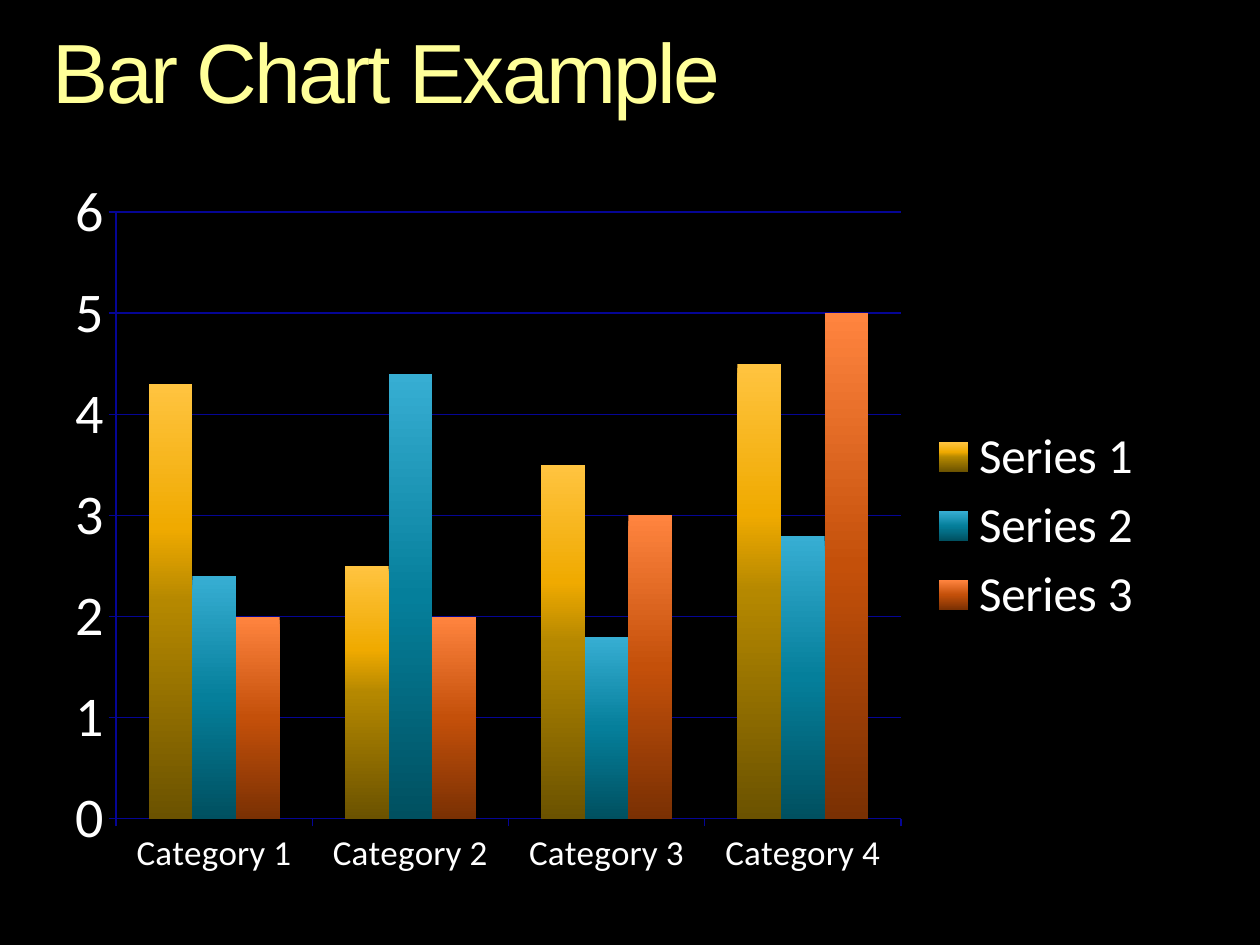
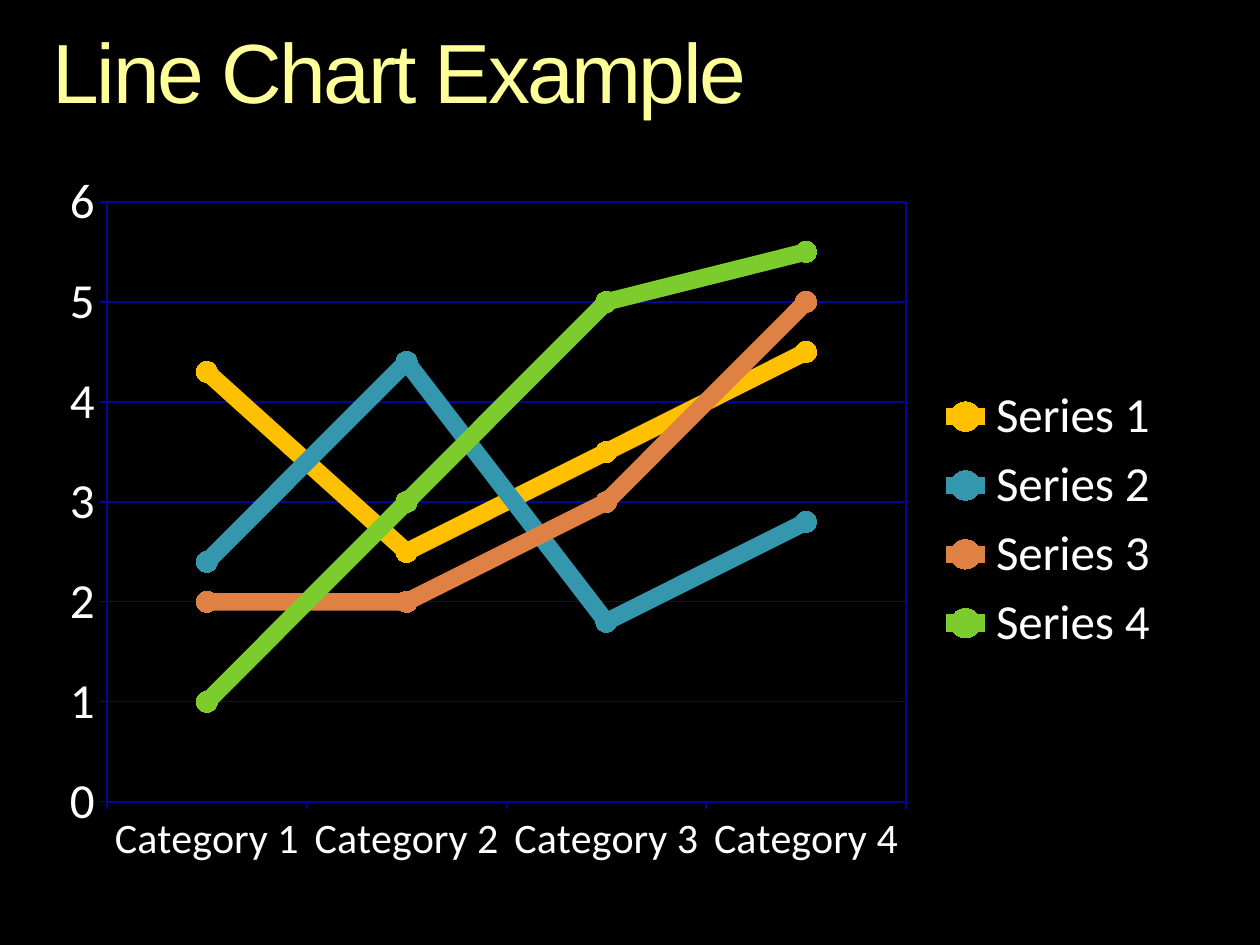
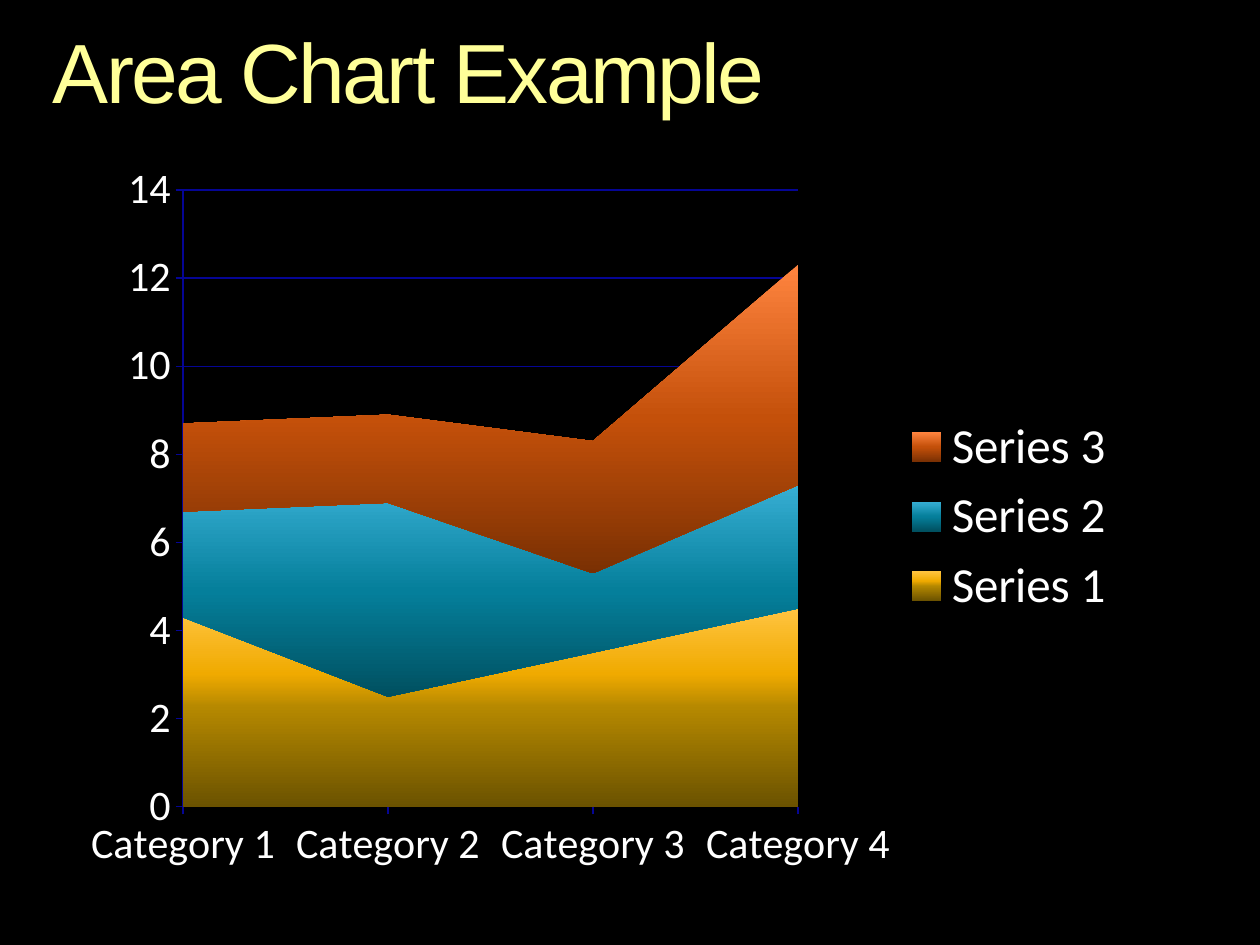
from dataclasses import dataclass

from lxml import etree
from pptx import Presentation
from pptx.chart.data import CategoryChartData
from pptx.dml.color import RGBColor
from pptx.enum.chart import XL_CHART_TYPE, XL_LEGEND_POSITION, XL_MARKER_STYLE, XL_TICK_MARK
from pptx.enum.text import MSO_ANCHOR, MSO_AUTO_SIZE, PP_ALIGN
from pptx.oxml.ns import qn
from pptx.util import Pt

COLUMN = XL_CHART_TYPE.COLUMN_CLUSTERED
LINE = XL_CHART_TYPE.LINE_MARKERS
AREA = XL_CHART_TYPE.AREA_STACKED
LEGEND_RIGHT = XL_LEGEND_POSITION.RIGHT
CIRCLE = XL_MARKER_STYLE.CIRCLE
TICK_OUT = XL_TICK_MARK.OUTSIDE
TOP = MSO_ANCHOR.TOP
GROW = MSO_AUTO_SIZE.SHAPE_TO_FIT_TEXT
LEFT = PP_ALIGN.LEFT

PX = 914400 / 126  # EMU per pixel


@dataclass
class Theme:
    background: str = "000000"
    title: str = "FFFF99"
    text: str = "FFFFFF"
    grid: str = "050595"
    title_font: str = "Arial"
    chart_font: str = "Calibri"
    title_size: int = 48
    chart_size: int = 18
    legend_size: int = 28
    grid_width: float = 0.75
    line_width: float = 10
    marker_size: int = 12
    series: tuple = ("FFC000", "3497AE", "DF8045", "7DCC2E")
    # Stops from top to bottom: percent, colour
    gradients: tuple = (
        ((0, "FFC440"), (33, "F0AA00"), (50, "B58800"), (100, "6B5200")),
        ((0, "37AED3"), (50, "057F9B"), (100, "005060")),
        ((0, "FF843F"), (50, "C4500A"), (100, "7A3003")),
    )


theme = Theme()


def set_font(font, size):
    font.name = theme.chart_font
    font.size = Pt(size)
    font.color.rgb = RGBColor.from_string(theme.text)


def set_layout(parent, index, frame, box, inner=False):
    """Place a chart part by pixel box, as fractions of the chart frame."""
    for old in parent.findall(qn("c:layout")):
        parent.remove(old)
    layout = etree.Element(qn("c:layout"))
    parent.insert(index, layout)
    manual = etree.SubElement(layout, qn("c:manualLayout"))
    left, top, width, height = frame
    x, y, w, h = box
    settings = [("layoutTarget", "inner")] if inner else []
    settings += [("xMode", "edge"), ("yMode", "edge"),
                 ("x", (x - left) / width), ("y", (y - top) / height),
                 ("w", w / width), ("h", h / height)]
    for tag, value in settings:
        text = value if isinstance(value, str) else f"{value:.4f}"
        etree.SubElement(manual, qn("c:" + tag)).set("val", text)


# Data shared by the charts
categories = [f"Category {n}" for n in range(1, 5)]
values = [(4.3, 2.5, 3.5, 4.5), (2.4, 4.4, 1.8, 2.8), (2, 2, 3, 5), (1, 3, 5, 5.5)]

# One entry a slide; boxes are left, top, width, height in pixels
slides = [
    dict(title="Bar Chart Example", kind=COLUMN, count=3, frame=(53, 163, 1106, 726),
         plot=(116, 212, 785, 607), legend=None, sizes=(20, 32), top=6, unit=1),
    dict(title="Line Chart Example", kind=LINE, count=4, frame=(48, 159, 1128, 722),
         plot=(107, 202, 799, 600), legend=None, sizes=(24, 28), top=6, unit=1),
    dict(title="Area Chart Example", kind=AREA, count=3, frame=(71, 150, 1079, 736),
         plot=(183, 190, 615, 617), legend=(900, 407, 217, 219), sizes=(24, 24), top=14, unit=2),
]

prs = Presentation()
prs.slide_width, prs.slide_height = round(1260 * PX), round(945 * PX)
fill = prs.slide_master.background.fill
fill.solid()
fill.fore_color.rgb = RGBColor.from_string(theme.background)

for spec_ in slides:
    s = prs.slides.add_slide(prs.slide_layouts[5])
    kind, frame = spec_["kind"], spec_["frame"]

    # Title
    sp = s.shapes.title
    sp.left, sp.top, sp.width, sp.height = [round(v * PX) for v in (53, 31, 1155, 92)]
    tf = sp.text_frame
    tf.text = spec_["title"]
    tf.margin_left = tf.margin_top = tf.margin_right = tf.margin_bottom = 0
    tf.vertical_anchor = TOP
    tf.auto_size = GROW
    tf.word_wrap = True
    p = tf.paragraphs[0]
    p.alignment = LEFT
    p.line_spacing = 0.9
    r = p.runs[0]
    r.font.name = theme.title_font
    r.font.size = Pt(theme.title_size)
    r.font.color.rgb = RGBColor.from_string(theme.title)
    r.font._element.set("spc", "-150")

    # Chart
    data = CategoryChartData()
    data.categories = categories
    for n, vals in enumerate(values[:spec_["count"]], 1):
        data.add_series(f"Series {n}", vals)
    chart = s.shapes.add_chart(kind, *[round(v * PX) for v in frame], data).chart
    chart.has_title = False
    set_font(chart.font, theme.chart_size)
    plot = chart.plots[0]
    plot.vary_by_categories = False
    plot_area = chart._chartSpace.chart.plotArea
    set_layout(plot_area, 0, frame, spec_["plot"], inner=True)

    # Axes and grid
    val_axis = chart.value_axis
    val_axis.minimum_scale, val_axis.maximum_scale = 0, spec_["top"]
    val_axis.major_unit = spec_["unit"]
    val_axis.has_major_gridlines = True
    lines = [val_axis.major_gridlines.format.line]
    for axis, size in zip((chart.category_axis, val_axis), spec_["sizes"]):
        axis.major_tick_mark = TICK_OUT
        set_font(axis.tick_labels.font, size)
        lines.append(axis.format.line)
    for line in lines:
        line.color.rgb = RGBColor.from_string(theme.grid)
        line.width = Pt(theme.grid_width)

    # Legend
    chart.has_legend = True
    legend = chart.legend
    legend.position = LEGEND_RIGHT
    legend.include_in_layout = False
    set_font(legend.font, theme.legend_size)
    if spec_["legend"]:
        set_layout(legend._element, 1, frame, spec_["legend"])

    # Series
    for i, series in enumerate(plot.series):
        color = RGBColor.from_string(theme.series[i])
        if kind == LINE:
            series.smooth = False
            series.format.line.color.rgb = color
            series.format.line.width = Pt(theme.line_width)
            marker = series.marker
            marker.style, marker.size = CIRCLE, theme.marker_size
            marker.format.fill.solid()
            marker.format.fill.fore_color.rgb = color
            marker.format.line.fill.background()
            continue
        fill = series.format.fill
        fill.gradient()
        fill.gradient_angle = 270
        stops = series._element.find(".//" + qn("a:gsLst"))
        for stop in list(stops):
            stops.remove(stop)
        for percent, shade in theme.gradients[i]:
            gs = etree.SubElement(stops, qn("a:gs"), pos=str(percent * 1000))
            etree.SubElement(gs, qn("a:srgbClr"), val=shade)

    # Details of each chart type
    if kind == COLUMN:
        plot.gap_width, plot.overlap = 150, 0
    elif kind == LINE:
        sp_pr = etree.SubElement(plot_area, qn("c:spPr"))
        ln = etree.SubElement(sp_pr, qn("a:ln"), w=str(Pt(theme.grid_width)))
        solid = etree.SubElement(ln, qn("a:solidFill"))
        etree.SubElement(solid, qn("a:srgbClr"), val=theme.grid)
    else:
        val_axis._element.find(qn("c:crossBetween")).set("val", "midCat")

prs.save("out.pptx")
